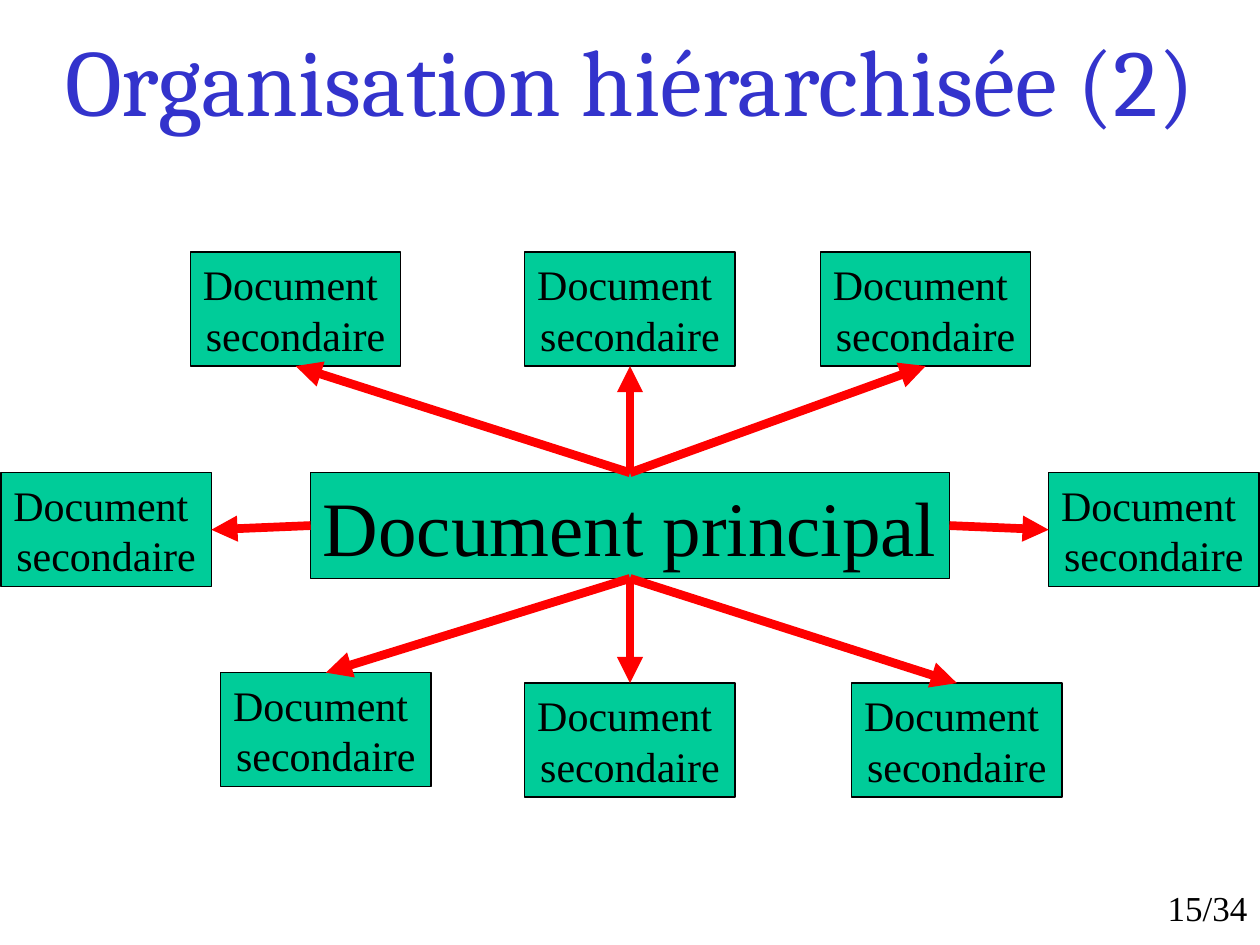
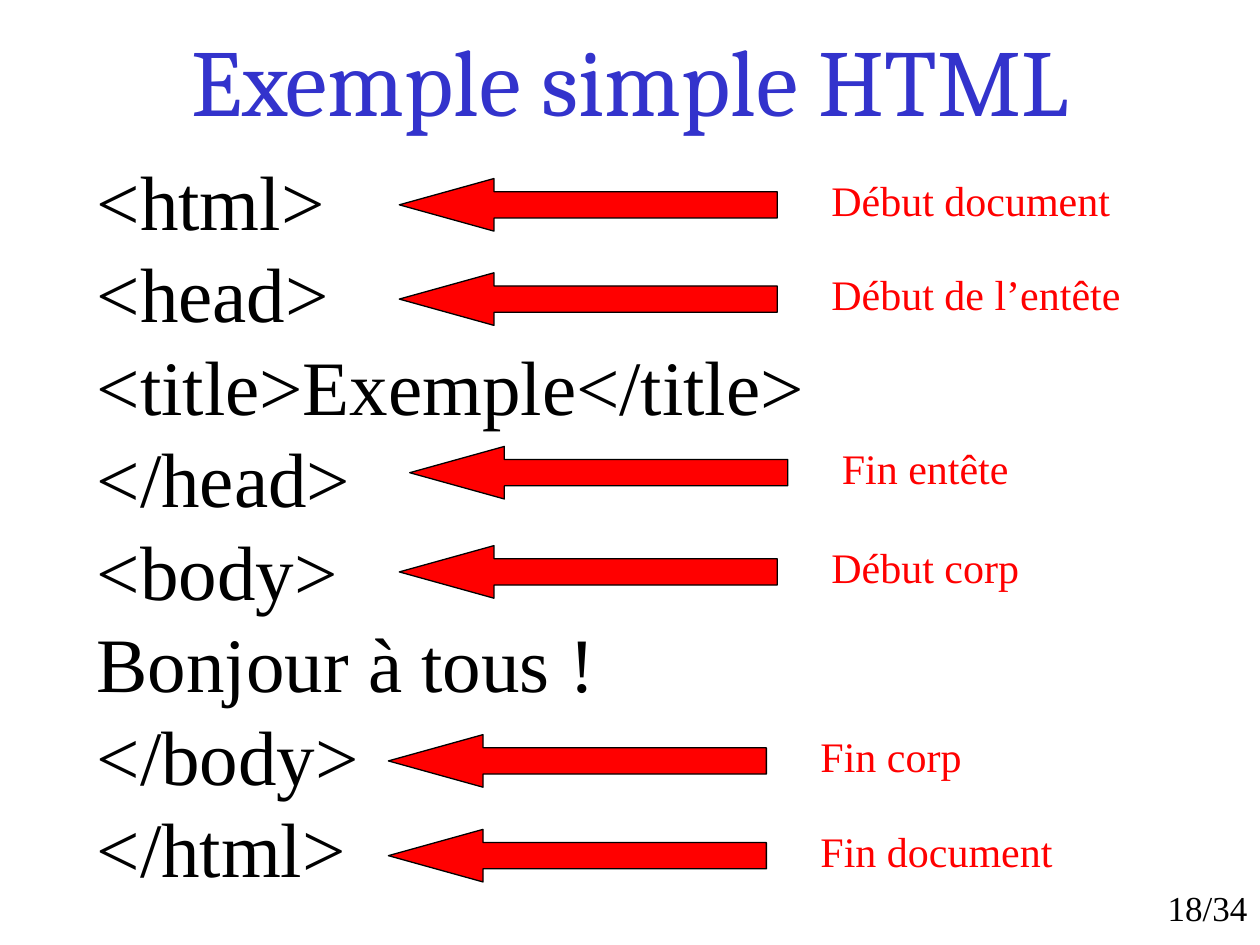
"""Builds two course slides: a hierarchical document map and an annotated HTML page."""
import dataclasses

import pptx
import pptx.dml.color
import pptx.enum.shapes
import pptx.enum.text
import pptx.oxml.ns
import pptx.util
from lxml import etree

Cm = pptx.util.Cm
Pt = pptx.util.Pt
ALIGN = pptx.enum.text.PP_ALIGN
ANCHOR = pptx.enum.text.MSO_ANCHOR
SHAPE = pptx.enum.shapes.MSO_SHAPE
TOP, LEFT, BOTTOM, RIGHT = range(4)


@dataclasses.dataclass(frozen=True)
class Theme:
    """Colours, fonts and type sizes shared by the slides."""
    title: str = "3333CC"
    ink: str = "000000"
    box: str = "00CC99"
    accent: str = "FF0000"
    title_font: str = "Cambria"
    body_font: str = "Times New Roman"
    title_size: int = 54
    large: int = 44
    normal: int = 24
    small: int = 20
    outline: float = 0.75
    link: float = 5
    leading: float = 1.2


THEME = Theme()
PAGE_COUNT = 34
SECONDARY_SIZE = (4.24, 2.3)
SECONDARY_BOXES = [
    (3.84, 5.08, TOP), (10.58, 5.08, TOP), (16.54, 5.08, TOP),
    (21.14, 9.53, RIGHT), (0.02, 9.53, LEFT),
    (4.45, 13.56, BOTTOM), (10.58, 13.77, BOTTOM), (17.17, 13.77, BOTTOM),
]
HTML_LINES = ["<html>", "<head>", "<title>Exemple</title>", "</head>",
              "<body>", "Bonjour à tous !", "</body>", "</html>"]
CALLOUTS = [
    ("Début document", 8.05, 3.6, 6.12),
    ("Début de l’entête", 8.05, 5.5, 6.32),
    ("Fin entête", 8.26, 9.0, 3.86),
    ("Début corp", 8.05, 11.0, 4.29),
    ("Fin corp", 7.83, 14.81, 3.35),
    ("Fin document", 7.83, 16.72, 5.18),
]


def rgb(value):
    """Return a colour object for a hex string."""
    return pptx.dml.color.RGBColor.from_string(value)


def write(shape, text, *, size=THEME.normal, color=THEME.ink, font=THEME.body_font,
          align=ALIGN.LEFT, anchor=ANCHOR.TOP, wrap=True, leading=THEME.leading):
    """Fill a shape with formatted text, one paragraph per line."""
    tf = shape.text_frame
    tf.auto_size = pptx.enum.text.MSO_AUTO_SIZE.NONE
    tf.word_wrap = wrap
    tf.vertical_anchor = anchor
    for i, line in enumerate(text.split("\n")):
        p = tf.add_paragraph() if i else tf.paragraphs[0]
        p.alignment = align
        if leading:
            p.line_spacing = Pt(size * leading)
        r = p.add_run()
        r.text = line
        r.font.name = font
        r.font.size = Pt(size)
        r.font.color.rgb = rgb(color)


def add_text(shapes, text, x, y, w, h, **fmt):
    """Add a text box."""
    sp = shapes.add_textbox(Cm(x), Cm(y), Cm(w), Cm(h))
    write(sp, text, **fmt)
    return sp


def add_filled(shapes, kind, x, y, w, h, fill):
    """Add a flat preset shape with a thin outline."""
    sp = shapes.add_shape(kind, Cm(x), Cm(y), Cm(w), Cm(h))
    sp.shadow.inherit = False
    sp.fill.solid()
    sp.fill.fore_color.rgb = rgb(fill)
    sp.line.color.rgb = rgb(THEME.ink)
    sp.line.width = Pt(THEME.outline)
    return sp


def add_document(s, text, x, y, w, h, size):
    """Add a labelled document box."""
    sp = add_filled(s.shapes, SHAPE.RECTANGLE, x, y, w, h, THEME.box)
    write(sp, text, size=size, align=ALIGN.CENTER, anchor=ANCHOR.MIDDLE, wrap=False)
    return sp


def add_link(s, start, end, side):
    """Join one side of a box to the facing side of another with an arrow."""
    cxn = s.shapes.add_connector(pptx.enum.shapes.MSO_CONNECTOR.STRAIGHT, 0, 0, 0, 0)
    cxn.begin_connect(start, side)
    cxn.end_connect(end, (side + 2) % 4)
    cxn.line.color.rgb = rgb(THEME.accent)
    cxn.line.width = Pt(THEME.link)
    qn = pptx.oxml.ns.qn
    etree.SubElement(cxn.line._get_or_add_ln(), qn("a:tailEnd"), type="triangle")
    etree.SubElement(cxn._element.spPr, qn("a:effectLst"))


def add_callout(s, text, x, y, label_width):
    """Add a grouped arrow and label."""
    shapes = s.shapes.add_group_shape().shapes
    sp = add_filled(shapes, SHAPE.LEFT_ARROW, x, y, 7.62, 1.06, THEME.accent)
    sp.adjustments[0] = 0.5
    sp.adjustments[1] = 1.8
    add_text(shapes, text, x + 8.46, y - 0.21, label_width, 1.27,
             color=THEME.accent, wrap=False)


def add_slide(prs, title, number):
    """Add a slide with its title and page number."""
    s = prs.slides.add_slide(prs.slide_layouts[5])
    sp = s.shapes.title
    sp.left, sp.top, sp.width, sp.height = 0, 0, prs.slide_width, Cm(3.18)
    write(sp, title, size=THEME.title_size, color=THEME.title, font=THEME.title_font,
          align=ALIGN.CENTER, anchor=ANCHOR.MIDDLE, leading=None)
    add_text(s.shapes, f"{number}/{PAGE_COUNT}", 22.71, 17.75, 2.69, 1.27,
             size=THEME.small, align=ALIGN.RIGHT)
    return s


def build_hierarchy(prs):
    """Build the map of a main document and its secondary documents."""
    s = add_slide(prs, "Organisation hiérarchisée (2)", 15)
    main_box = add_document(s, "Document principal", 6.26, 9.53, 12.88, 2.13, THEME.large)
    for x, y, side in SECONDARY_BOXES:
        box = add_document(s, "Document \nsecondaire", x, y, *SECONDARY_SIZE, THEME.normal)
        add_link(s, main_box, box, side)


def build_html_example(prs):
    """Build the annotated HTML listing."""
    s = add_slide(prs, "Exemple simple HTML", 18)
    add_text(s.shapes, "\n".join(HTML_LINES), 1.7, 2.97, 15.21, 15.16, size=THEME.large)
    for callout in CALLOUTS:
        add_callout(s, *callout)


def main():
    """Create and save the presentation."""
    prs = pptx.Presentation()
    prs.slide_width, prs.slide_height = Cm(25.4), Cm(19.05)
    build_hierarchy(prs)
    build_html_example(prs)
    prs.save("out.pptx")


if __name__ == "__main__":
    main()
